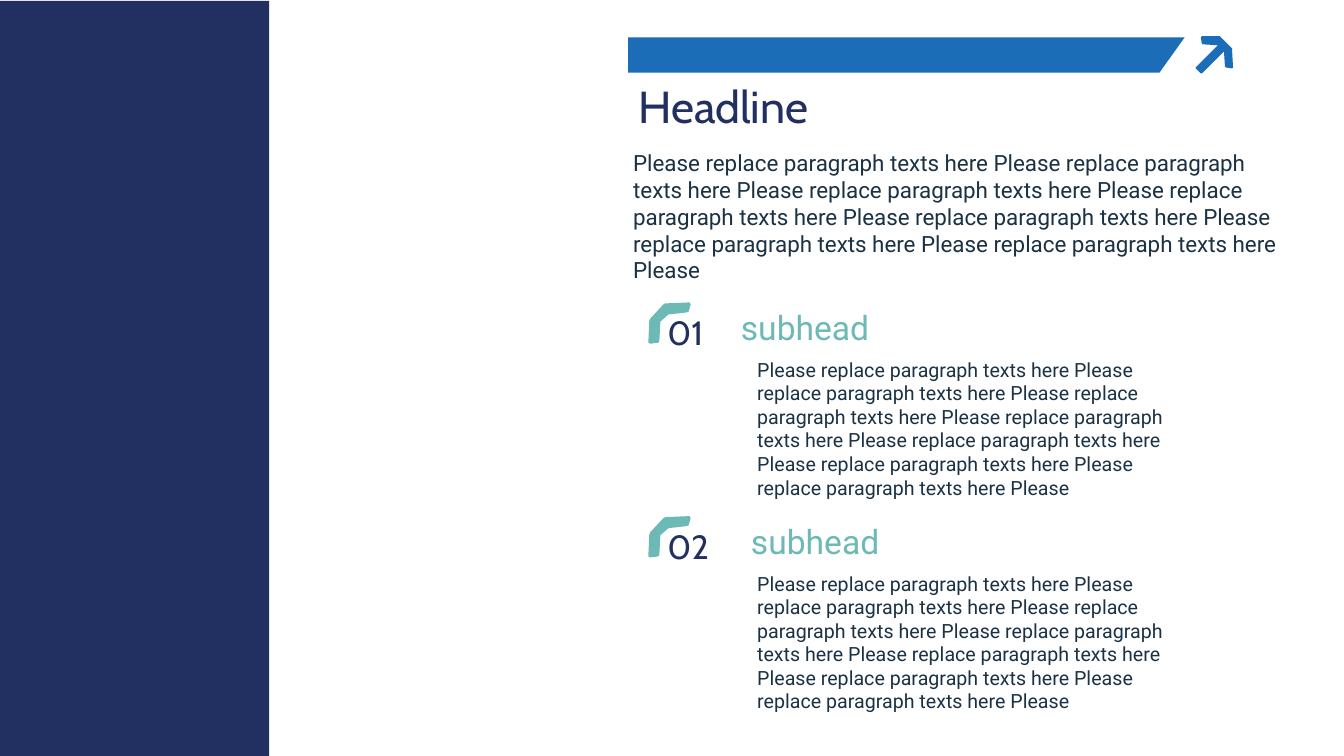
"""Build a headline slide with an intro text and two numbered sections."""
from dataclasses import dataclass

from pptx import Presentation
from pptx.dml.color import RGBColor
from pptx.enum.shapes import MSO_SHAPE
from pptx.enum.text import MSO_ANCHOR, MSO_AUTO_SIZE, PP_ALIGN
from pptx.util import Inches, Pt


@dataclass(frozen=True)
class Theme:
    """Colours, fonts and type sizes of the slide."""
    navy: str = "222F61"
    blue: str = "1A6DB6"
    teal: str = "6CB9B6"
    ink: str = "1B3245"
    display: str = "Cabin"
    text: str = "Roboto"
    headline: int = 32
    subhead: int = 24
    intro: int = 16
    detail: int = 14


class SlideBuilder:
    """Draw styled elements on the current slide."""

    def __init__(self, slide, theme):
        """Keep the slide and its theme."""
        self.slide = slide
        self.theme = theme

    def paint(self, shape, color):
        """Give a shape a plain fill without line or shadow."""
        shape.fill.solid()
        shape.fill.fore_color.rgb = RGBColor.from_string(color)
        shape.line.fill.background()
        shape.shadow.inherit = False

    def band(self, left, top, width, height, color):
        """Add a plain rectangle."""
        band = self.slide.shapes.add_shape(
            MSO_SHAPE.RECTANGLE, Inches(left), Inches(top), Inches(width), Inches(height))
        self.paint(band, color)

    def outline(self, points, color, left=0, top=0):
        """Add a filled polygon from points relative to left and top."""
        corners = [(Inches(left + x), Inches(top + y)) for x, y in points]
        builder = self.slide.shapes.build_freeform(*corners[0])
        builder.add_line_segments(corners[1:], close=True)
        self.paint(builder.convert_to_shape(), color)

    def set_text(self, frame, wording, font, size, color, indent=0):
        """Fill a text frame with one styled paragraph."""
        frame.word_wrap = True
        frame.auto_size = MSO_AUTO_SIZE.NONE
        frame.vertical_anchor = MSO_ANCHOR.TOP
        frame.margin_left = Inches(0.1 + indent)
        frame.margin_right = Inches(0.1)
        frame.margin_top = frame.margin_bottom = Inches(0.05)
        paragraph = frame.paragraphs[0]
        paragraph.text = wording
        paragraph.alignment = PP_ALIGN.LEFT
        paragraph.font.name = font
        paragraph.font.size = Pt(size)
        paragraph.font.color.rgb = RGBColor.from_string(color)

    def title(self, wording, left, top, width, height):
        """Place and format the title placeholder."""
        title = self.slide.shapes.title
        title.left, title.top = Inches(left), Inches(top)
        title.width, title.height = Inches(width), Inches(height)
        self.set_text(title.text_frame, wording, self.theme.display,
                      self.theme.headline, self.theme.navy)

    def text(self, wording, left, top, width, height, font, size, color, indent=0):
        """Add a text box."""
        box = self.slide.shapes.add_textbox(
            Inches(left), Inches(top), Inches(width), Inches(height))
        self.set_text(box.text_frame, wording, font, size, color, indent)

    def section(self, number, subhead_left, top):
        """Add a bracketed number with its subhead and detail text."""
        theme = self.theme
        self.outline(BRACKET, theme.teal, 6.43, top)
        self.text(number, 6.52, top + 0.05, 0.91, 0.5,
                  theme.display, theme.subhead, theme.navy)
        self.text("subhead", subhead_left, top, 4.58, 0.5,
                  theme.text, theme.subhead, theme.teal)
        self.text(FILLER, 7.35, top + 0.5, 4.38, 1.51,
                  theme.text, theme.detail, theme.ink, indent=0.06)


FILLER = "Please replace paragraph texts here " * 7 + "Please"
BRACKET = [(0.2, 0.12), (0.38, 0.1), (0.4, 0.09), (0.42, 0.02), (0.41, 0),
           (0.17, 0.01), (0.15, 0.02), (0.02, 0.16), (0.01, 0.18), (0, 0.4),
           (0.02, 0.41), (0.1, 0.4), (0.11, 0.38), (0.12, 0.19)]
BANNER = [(0, 0), (0, 0.35), (5.27, 0.35), (5.52, 0)]
ARROW = [(0.24, 0), (0.25, 0.01), (0.36, 0.12), (0.36, 0.13), (0.37, 0.31),
         (0.36, 0.32), (0.3, 0.31), (0.29, 0.3), (0.28, 0.15), (0.06, 0.37),
         (0.05, 0.37), (0, 0.32), (0, 0.31), (0.22, 0.09), (0.07, 0.08),
         (0.06, 0.07), (0.05, 0.01), (0.06, 0)]


def main():
    """Compose and save the slide."""
    deck = Presentation()
    deck.slide_width, deck.slide_height = Inches(13.33), Inches(7.5)
    theme = Theme()
    page = SlideBuilder(deck.slides.add_slide(deck.slide_layouts[5]), theme)

    page.band(0, 0.01, 2.67, 7.49, theme.navy)
    page.outline(BANNER, theme.blue, 6.23, 0.37)
    page.outline(ARROW, theme.blue, 11.86, 0.36)
    page.title("Headline", 6.23, 0.73, 3.12, 0.64)
    page.text(FILLER, 6.12, 1.43, 6.83, 1.18,
              theme.text, theme.intro, theme.ink, indent=0.06)
    for index, subhead_left in enumerate((7.25, 7.35)):
        page.section(f"{index + 1:02}", subhead_left, 3 + 2.12 * index)

    deck.save("out.pptx")


if __name__ == "__main__":
    main()
